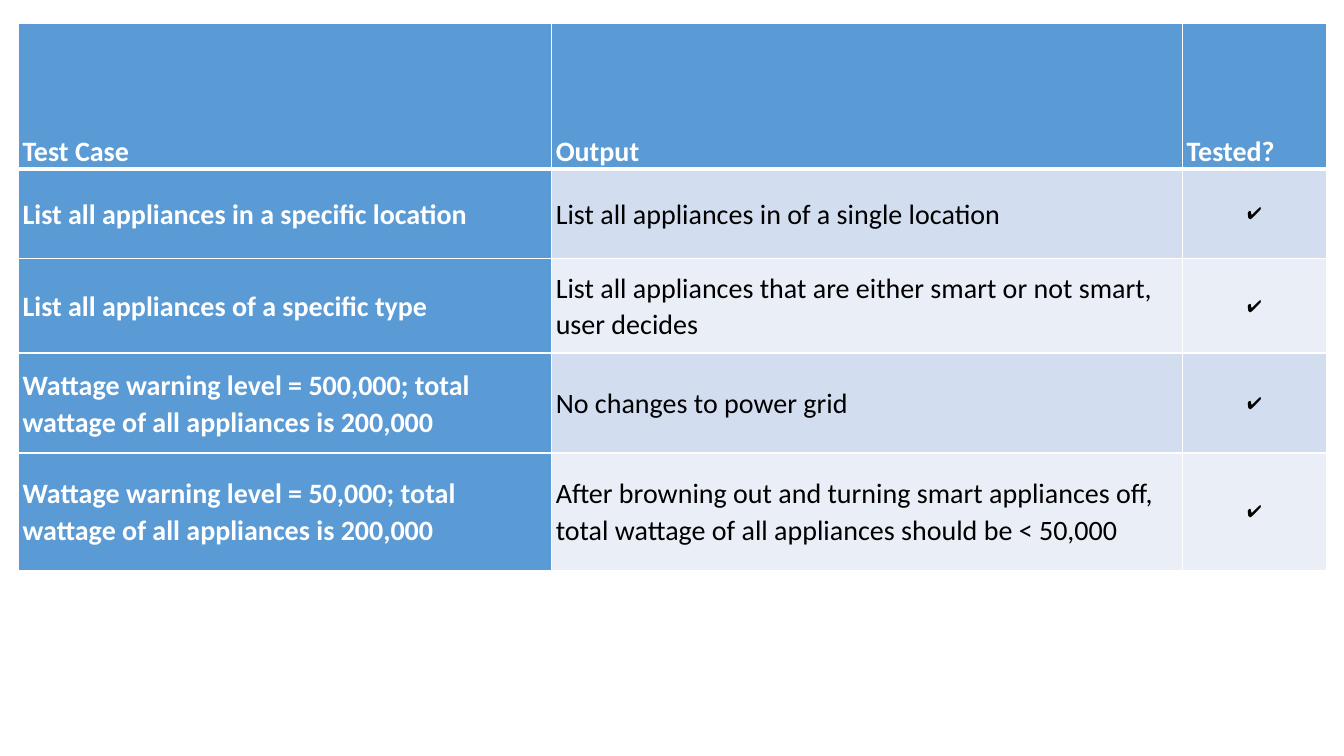
import pptx
import pptx.dml.color
import pptx.enum.text
import pptx.util
from lxml import etree
from pptx.oxml.ns import qn

Pt = pptx.util.Pt
ALIGN = pptx.enum.text.PP_ALIGN
ANCHOR = pptx.enum.text.MSO_ANCHOR

WHITE, BLACK, BLUE = "FFFFFF", "000000", "5B9BD5"
BANDS = ("D2DEEF", "EAEFF7")
CHECK = "\u2714"
COLUMN_WIDTHS = (380.9, 450.7, 102.6)
ROW_HEIGHTS = (103.7, 64, 67.7, 71.4, 83.7)
TEST_ROWS = (
    ("Test Case", "Output", "Tested?"),
    ("List all appliances in a specific location",
     "List all appliances in of a single location", CHECK),
    ("List all appliances of a specific type",
     "List all appliances that are either smart or not smart, user decides", CHECK),
    ("Wattage warning level = 500,000; total wattage of all appliances is 200,000",
     "No changes to power grid", CHECK),
    ("Wattage warning level = 50,000; total wattage of all appliances is 200,000",
     "After browning out and turning smart appliances off, "
     "total wattage of all appliances should be < 50,000", CHECK),
)


def color(hex_code):
    """Turn a hex string into a colour."""
    return pptx.dml.color.RGBColor.from_string(hex_code)


def add_borders(cell, widths):
    """Draw white cell borders from a mapping of side to width in points."""
    properties = cell._tc.get_or_add_tcPr()
    for side, width in widths.items():
        line = etree.SubElement(properties, qn(f"a:ln{side}"), w=str(int(Pt(width))))
        fill = etree.SubElement(line, qn("a:solidFill"))
        etree.SubElement(fill, qn("a:srgbClr"), val=WHITE)


def fill_cell(cell, text, row, column):
    """Write and style a cell according to its place in the table."""
    is_heading = row == 0 or column == 0
    add_borders(cell, {"L": 1, "R": 1, "T": 3 if row == 1 else 1, "B": 3 if row == 0 else 1})
    cell.fill.solid()
    cell.fill.fore_color.rgb = color(BLUE if is_heading else BANDS[(row - 1) % 2])
    cell.margin_left = cell.margin_right = Pt(2.9)
    cell.margin_top = cell.margin_bottom = 0
    cell.vertical_anchor = ANCHOR.BOTTOM if row == 0 else ANCHOR.MIDDLE
    cell.text = text
    para = cell.text_frame.paragraphs[0]
    para.alignment = ALIGN.CENTER if text == CHECK else ALIGN.LEFT
    para.line_spacing = 1.07
    para.font.name = "Calibri"
    para.font.size = Pt(12 if text == CHECK else 20)
    para.font.bold = is_heading
    para.font.color.rgb = color(WHITE if is_heading else BLACK)


def add_test_table(page, left, top):
    """Add the table of test cases."""
    frame = page.shapes.add_table(
        len(ROW_HEIGHTS), len(COLUMN_WIDTHS), Pt(left), Pt(top),
        Pt(sum(COLUMN_WIDTHS)), Pt(sum(ROW_HEIGHTS)))
    table = frame.table
    for column, width in zip(table.columns, COLUMN_WIDTHS):
        column.width = Pt(width)
    for row, height in zip(table.rows, ROW_HEIGHTS):
        row.height = Pt(height)
    for row, texts in enumerate(TEST_ROWS):
        for column, text in enumerate(texts):
            fill_cell(table.cell(row, column), text, row, column)


def main():
    """Build and save the slide."""
    deck = pptx.Presentation()
    deck.slide_width, deck.slide_height = Pt(960), Pt(540)
    page = deck.slides.add_slide(deck.slide_layouts[6])
    add_test_table(page, 13.2, 16.8)
    deck.save("out.pptx")


main()
